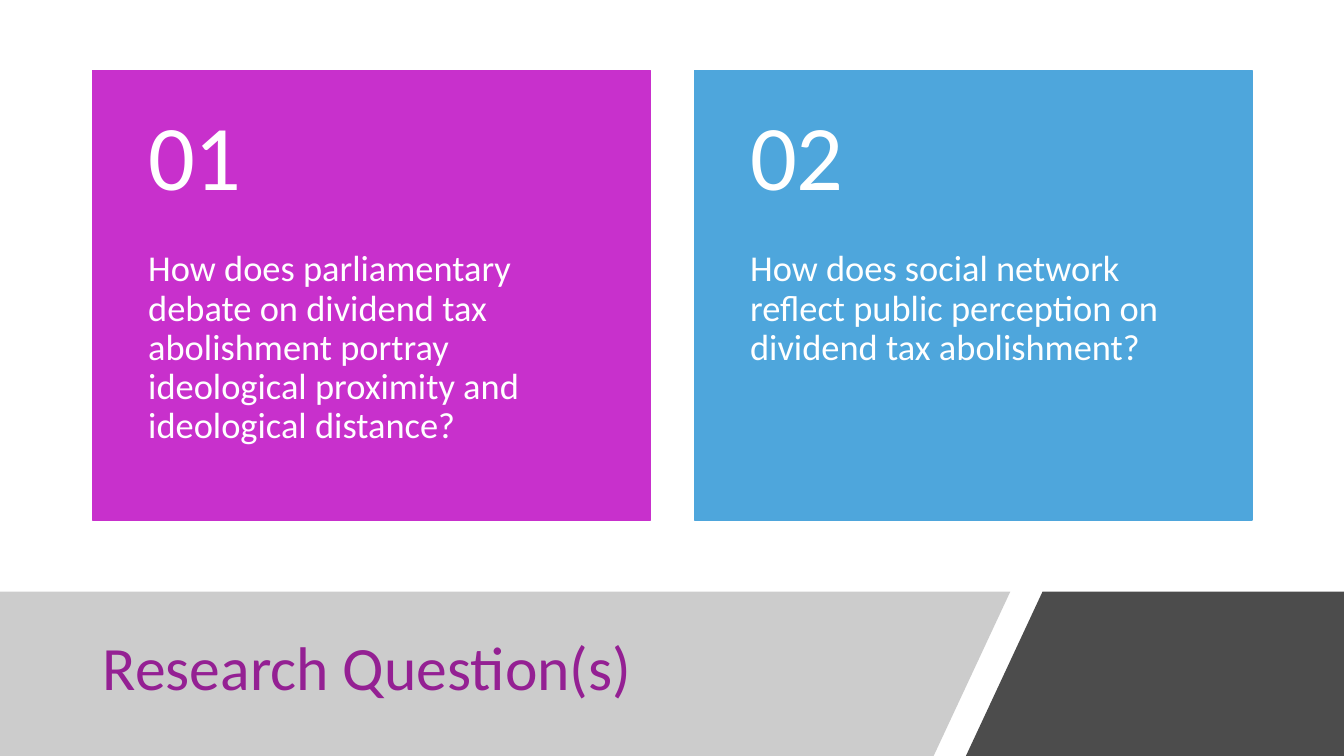
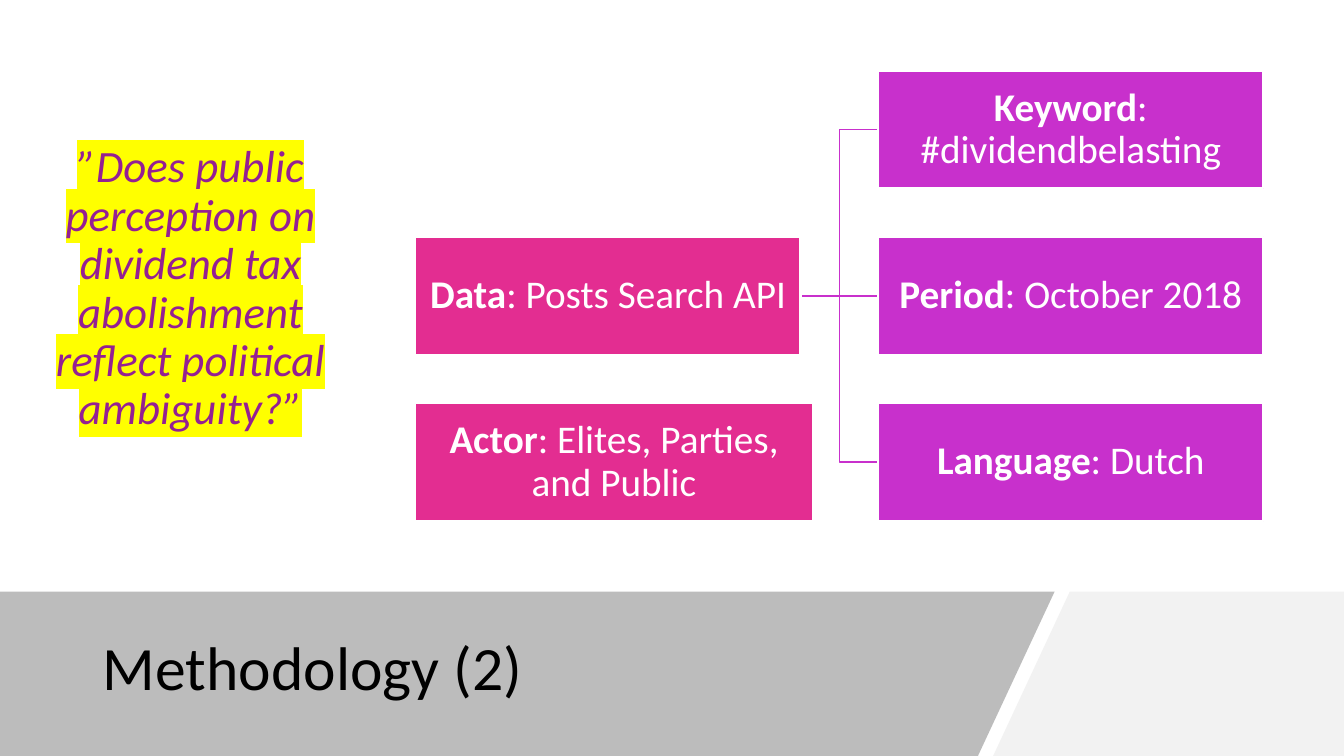
from lxml import etree
from pptx import Presentation
from pptx.dml.color import RGBColor
from pptx.enum.shapes import MSO_CONNECTOR as Wire, MSO_SHAPE as Shape
from pptx.enum.text import MSO_ANCHOR as Anchor, MSO_AUTO_SIZE as Fit, PP_ALIGN as Align
from pptx.oxml.ns import qn
from pptx.util import Inches as In, Pt

FONT = "Calibri"
WHITE, PLUM, PURPLE = "FFFFFF", "942093", "C830CC"
PINK, BLUE, YELLOW = "E32D91", "4EA6DC", "FFFF00"
WIDE, HIGH = 13.33, 7.5
BAND, SLANT = 5.87, 0.76


def paint(fill, color, alpha=100):
    fill.solid()
    fill.fore_color.rgb = RGBColor.from_string(color)
    if alpha < 100:
        tone = fill._xPr.find(qn("a:solidFill"))[0]
        etree.SubElement(tone, qn("a:alpha")).set("val", str(alpha * 1000))


def write(box, parts, size, color, align=Align.LEFT, anchor=Anchor.MIDDLE,
          pads=(0.1, 0.05, 0.1, 0.05)):
    frame = box.text_frame
    frame.word_wrap = True
    frame.auto_size = Fit.NONE
    frame.vertical_anchor = anchor
    frame.margin_left, frame.margin_top, frame.margin_right, frame.margin_bottom = map(In, pads)
    para = frame.paragraphs[0]
    para.alignment = align
    para.line_spacing = 0.9
    para.font.name = FONT
    para.font.size = Pt(size)
    paint(para.font.fill, color)
    for part in parts:
        para.add_run().text = part
    if len(parts) > 1:
        para.runs[0].font.bold = True
    return para


deck = Presentation()
deck.slide_width, deck.slide_height = In(WIDE), In(HIGH)

heads = [
    ("Research Question(s)", PLUM, 8.44, 10.02, 0.32, ("808080", 40), ("000000", 70)),
    ("Methodology (2)", "000000", 8.83, 10.46, 0.15, ("595959", 40), ("F2F2F2", 100)),
]
slides = []
for name, color, width, edge, gap, left, right in heads:
    slide = deck.slides.add_slide(deck.slide_layouts[5])
    slides.append(slide)
    bands = [
        (left, [(0, BAND), (edge, BAND), (edge - SLANT, HIGH), (0, HIGH)]),
        (right, [(edge + gap, BAND), (WIDE, BAND), (WIDE, HIGH), (edge + gap - SLANT, HIGH)]),
    ]
    for tone, spots in bands:
        spots = [(In(x), In(y)) for x, y in spots]
        path = slide.shapes.build_freeform(*spots[0])
        path.add_line_segments(spots[1:])
        band = path.convert_to_shape()
        band.shadow.inherit = False
        band.line.fill.background()
        paint(band.fill, *tone)
    title = slide.shapes.title
    title.left, title.top, title.width, title.height = In(0.92), In(6.05), In(width), In(1.2)
    write(title, [name], 44, color)
    slide.shapes._spTree.append(title._element)

asks, method = [slide.shapes for slide in slides]

cards = [
    ("01", PURPLE, "How does parliamentary debate on dividend tax abolishment portray "
     "ideological proximity and ideological distance?"),
    ("02", BLUE, "How does social network reflect public perception on dividend tax abolishment?"),
]
top, wide, high = 0.7, 5.53, 4.46
head = high * 0.4
for col, (mark, color, ask) in enumerate(cards):
    left = 0.92 + col * (wide + 0.44)
    card = asks.add_shape(Shape.RECTANGLE, In(left), In(top), In(wide), In(high))
    card.shadow.inherit = False
    paint(card.fill, color)
    paint(card.line.fill, color)
    card.line.width = Pt(1)
    box = asks.add_textbox(In(left), In(top), In(wide), In(head))
    write(box, [mark], 66, WHITE, pads=(0.55, 0.18, 0.55, 0.18))
    box = asks.add_textbox(In(left), In(top + head), In(wide), In(high - head))
    write(box, [ask], 26, WHITE, anchor=Anchor.TOP, pads=(0.55, 0, 0.55, 0.36))

wires = []
for kind in (Wire.ELBOW, Wire.STRAIGHT, Wire.ELBOW):
    wire = method.add_connector(kind, 0, 0, 0, 0)
    paint(wire.line.fill, PURPLE)
    wire.line.width = Pt(1)
    etree.SubElement(wire._element.spPr, qn("a:effectLst"))
    wires.append(wire)

cols = [4.12, 8.71]
nodes = [
    (0, 1, 3.82, PINK, ["Data", ": Posts Search API"]),
    (1, 0, 3.82, PURPLE, ["Keyword", ": #dividendbelasting"]),
    (1, 1, 3.82, PURPLE, ["Period", ": October 2018"]),
    (1, 2, 3.82, PURPLE, ["Language", ": Dutch"]),
    (0, 2, 3.94, PINK, ["Actor", ": Elites, Parties, and Public"]),
]
boxes = []
for col, row, wide, color, parts in nodes:
    box = method.add_shape(Shape.RECTANGLE, In(cols[col]), In(0.7 + row * 1.65), In(wide), In(1.17))
    box.shadow.inherit = False
    paint(box.fill, color)
    paint(box.line.fill, WHITE)
    box.line.width = Pt(1.5)
    write(box, parts, 28, WHITE, Align.CENTER, pads=[0.02] * 4)
    boxes.append(box)

for wire, box in zip(wires, boxes[1:4]):
    wire.begin_connect(boxes[0], 3)
    wire.end_connect(box, 1)

quote = method.add_textbox(0, In(1.43), In(3.78), In(3.3))
para = write(quote, ["”Does public perception on dividend tax abolishment reflect political ambiguity?”"],
             32, PLUM, Align.CENTER, Anchor.TOP, (0.55, 0, 0.55, 0.36))
para.font.italic = True
glow = etree.SubElement(para.runs[0]._r.get_or_add_rPr(), qn("a:highlight"))
etree.SubElement(glow, qn("a:srgbClr")).set("val", YELLOW)

deck.save("out.pptx")
